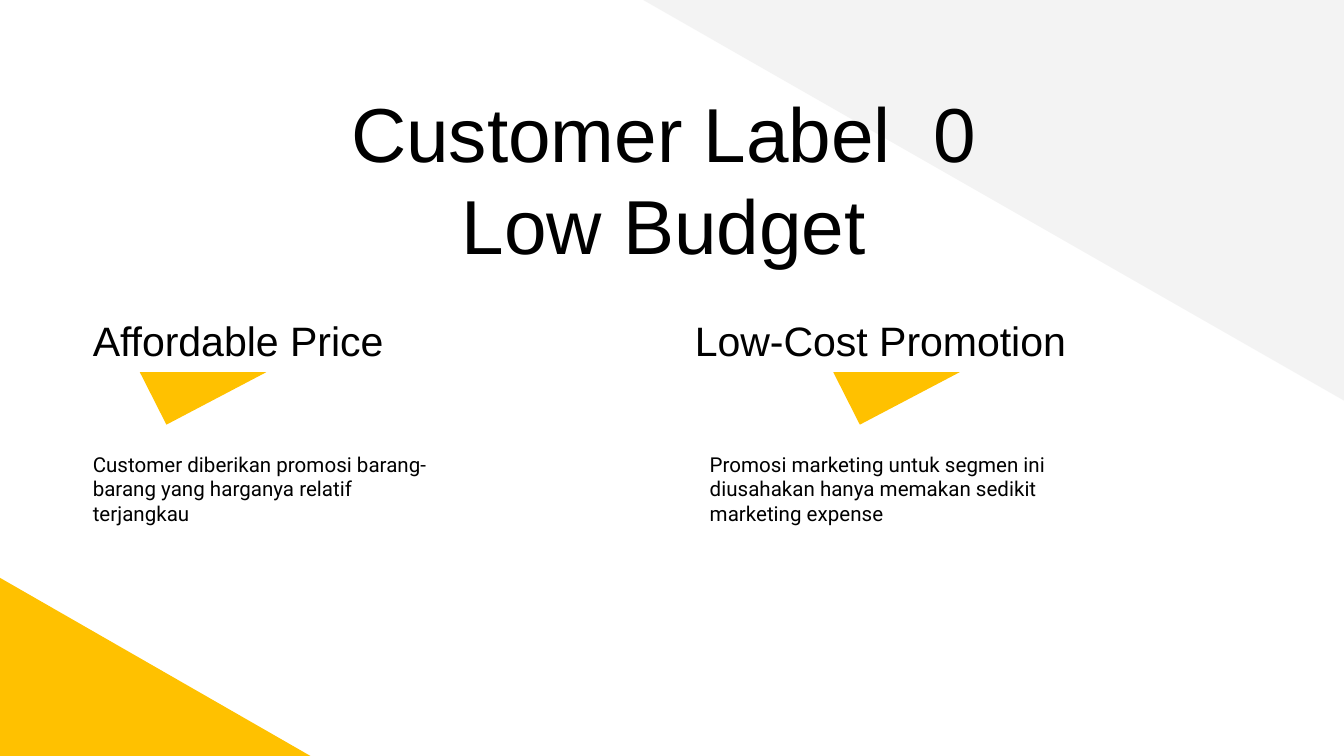
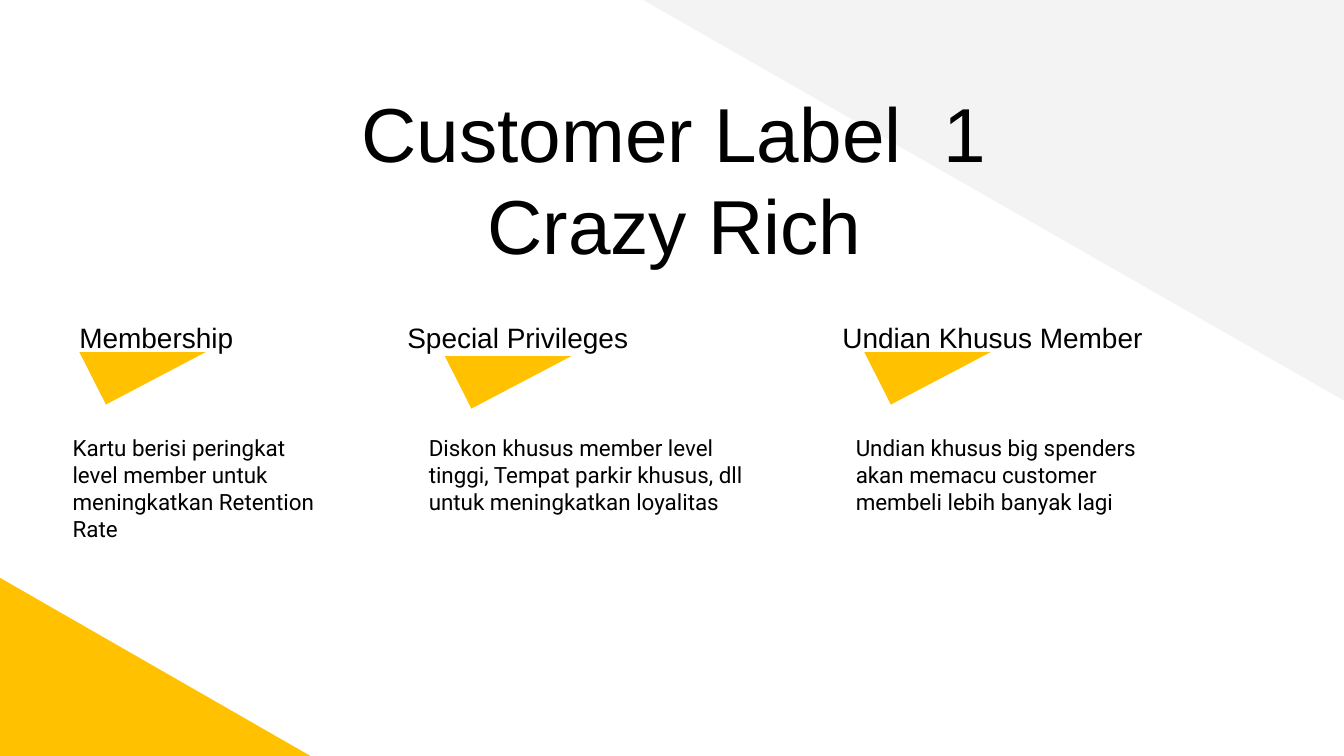
from dataclasses import dataclass

from lxml import etree
from pptx import Presentation
from pptx.dml import color
from pptx.enum import shapes, text
from pptx.oxml import ns
from pptx.util import Pt

HUES = {"paper": "FFFFFF", "ink": "000000", "gold": "FFC100", "mist": "F3F3F3"}
HEAD, BODY = "Arial", "Roboto"
PAD = 7.2
WEDGE = (67.7, 28.1)
BOX_H = {"head": 38.9, "body": 78.5}
COMPARE = 4  # layout with a title and two head/body pairs


@dataclass(frozen=True)
class Column:
    head: str
    head_x: float
    head_w: float
    body: str
    body_x: float
    body_w: float
    wedge_x: float
    wedge_y: float


@dataclass(frozen=True)
class Page:
    title: str
    head_y: float
    head_size: float
    body_y: float
    body_size: float
    cols: tuple[Column, ...]


PAGES = (
    Page("Customer Label  0 \nLow Budget ", 157.7, 22, 234.7, 11, (
        Column("Affordable Price", 42.5, 226.1,
               "Customer diberikan promosi barang-barang yang harganya relatif terjangkau",
               42.5, 200.9, 74.9, 199.4),
        Column("Low-Cost Promotion", 365, 285.8,
               "Promosi marketing untuk segmen ini diusahakan hanya memakan sedikit "
               "marketing expense",
               373, 200.9, 446.4, 199.4),
    )),
    Page("Customer Label  1\nCrazy Rich", 162, 15, 225.4, 12, (
        Column("Membership", 35.3, 146.9,
               "Kartu berisi peringkat level member untuk meningkatkan Retention Rate",
               31.7, 154.1, 42.5, 188.6),
        Column("Special Privileges", 211, 159.8,
               "Diskon khusus member level tinggi, Tempat parkir khusus, dll untuk "
               "meningkatkan loyalitas",
               222.5, 192.2, 238.3, 190.8),
        Column("Undian Khusus Member", 444.2, 288.7,
               "Undian khusus big spenders akan memacu customer membeli lebih banyak lagi",
               451.4, 192.2, 463, 188.6),
    )),
)


def rgb(name: str) -> color.RGBColor:
    return color.RGBColor.from_string(HUES[name])


def write(shape, words: str, box: tuple, *, size: float, font: str = BODY,
          align=text.PP_ALIGN.LEFT, line: float = 1, after: float = 0) -> None:
    """Place a text shape and fill it, one paragraph per line of words."""
    shape.left, shape.top, shape.width, shape.height = map(Pt, box)
    frame = shape.text_frame
    frame.text = words
    frame.word_wrap = True
    frame.auto_size = text.MSO_AUTO_SIZE.NONE
    frame.vertical_anchor = text.MSO_ANCHOR.TOP
    frame.margin_left = frame.margin_right = Pt(PAD)
    frame.margin_top = frame.margin_bottom = Pt(PAD)
    for par in frame.paragraphs:
        par.alignment = align
        par.line_spacing = line
        par.space_before, par.space_after = Pt(0), Pt(after)
        for run in par.runs:
            run.font.name, run.font.size = font, Pt(size)
            run.font.bold = False
            run.font.color.rgb = rgb("ink")
    # Switch off inherited bullets and hanging indents
    for props in shape.element.iter(ns.qn("a:pPr")):
        props.set("marL", "0")
        props.set("indent", "0")
        etree.SubElement(props, ns.qn("a:buNone"))


def draw(slide, kind, box: tuple, hue: str, turn: float = 0):
    """Add a flat, unlined shape."""
    shape = slide.shapes.add_shape(kind, *map(Pt, box))
    shape.rotation = turn
    shape.shadow.inherit = False
    shape.fill.solid()
    shape.fill.fore_color.rgb = rgb(hue)
    shape.line.fill.background()
    return shape


def dress(layout, slide) -> None:
    """Give the layout its background and corner triangles."""
    layout.background.fill.solid()
    layout.background.fill.fore_color.rgb = rgb("paper")
    kind = shapes.MSO_SHAPE.RIGHT_TRIANGLE
    for box, hue, turn in (((343.4, -0.7, 376.6, 215.3), "mist", 180),
                           ((0, 309.6, 166.3, 95.4), "gold", 0)):
        corner = draw(slide, kind, box, hue, turn)
        layout.shapes.element.append(corner.element)


def build(slide, page: Page) -> None:
    # Title
    write(slide.shapes.title, page.title, (42.5, 38.9, 637.9, 45.4),
          size=41, font=HEAD, align=text.PP_ALIGN.CENTER)
    # Columns: placeholders first, then text boxes
    slots = iter(list(slide.placeholders)[1:])

    def slot():
        return next(slots, None) or slide.shapes.add_textbox(0, 0, 0, 0)

    for col in page.cols:
        wedge = draw(slide, shapes.MSO_SHAPE.ISOSCELES_TRIANGLE,
                     (col.wedge_x, col.wedge_y, *WEDGE), "gold", 180)
        wedge.adjustments[0] = 0.79
        write(slot(), col.head, (col.head_x, page.head_y, col.head_w, BOX_H["head"]),
              size=page.head_size, font=HEAD, line=1.15, after=16)
        write(slot(), col.body, (col.body_x, page.body_y, col.body_w, BOX_H["body"]),
              size=page.body_size, after=16)


def main() -> None:
    deck = Presentation()
    deck.slide_width, deck.slide_height = Pt(720), Pt(405)
    layout = deck.slide_layouts[COMPARE]
    for num, page in enumerate(PAGES):
        slide = deck.slides.add_slide(layout)
        if num == 0:
            dress(layout, slide)
        build(slide, page)
    deck.save("out.pptx")


if __name__ == "__main__":
    main()
